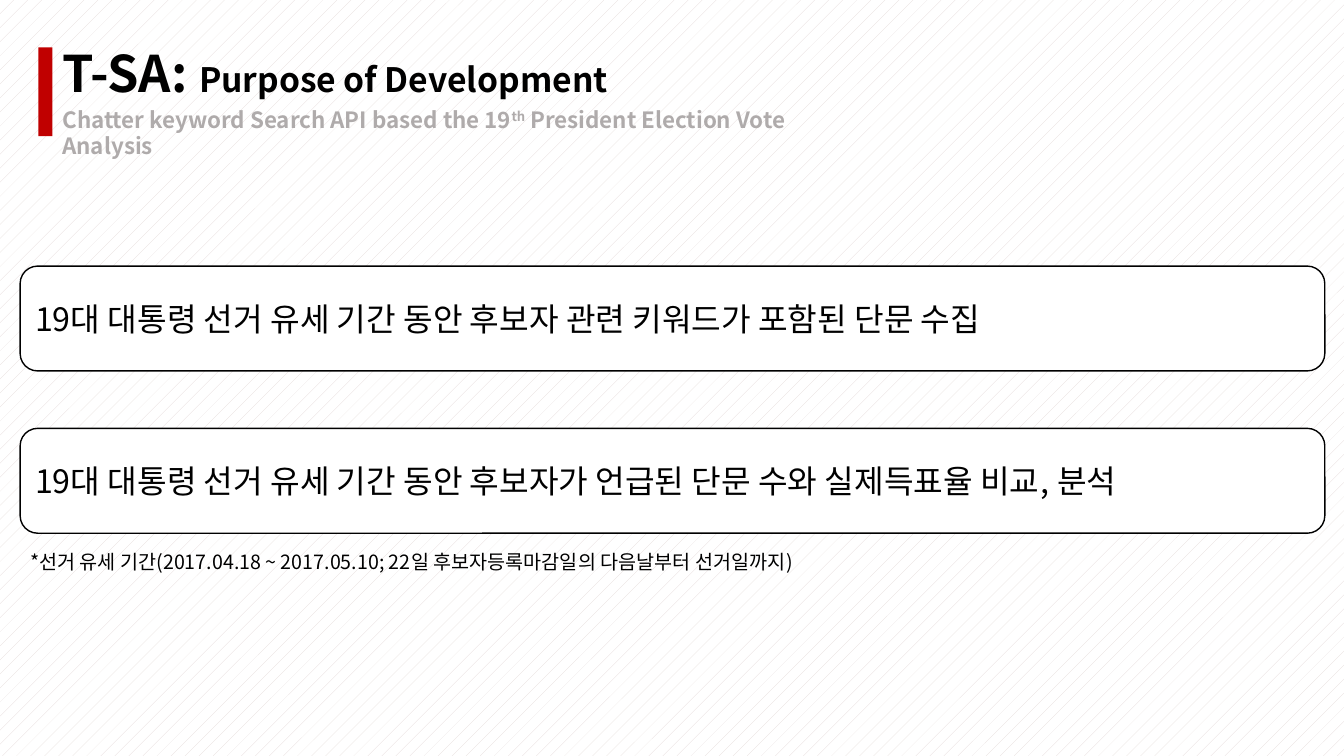
import dataclasses

import lxml.etree
import pptx
import pptx.dml.color
import pptx.enum.dml
import pptx.enum.shapes
import pptx.enum.text
import pptx.oxml.ns
import pptx.util


@dataclasses.dataclass(frozen=True)
class Theme:
    font: str = "Noto Sans CJK KR"
    ink: str = "000000"
    paper: str = "FFFFFF"
    hatch: str = "E3D9D7"
    accent: str = "C00000"
    muted: str = "AFABAB"
    title_size: int = 36
    topic_size: int = 24
    goal_size: int = 23
    subtitle_size: int = 16
    note_size: int = 14


theme = Theme()
inches = pptx.util.Inches
rgb = pptx.dml.color.RGBColor.from_string
shapes = pptx.enum.shapes.MSO_SHAPE


def write(para, pieces, color, bold=False):
    """Fill a left-aligned paragraph with (text, size) pieces."""
    para.alignment = pptx.enum.text.PP_ALIGN.LEFT
    for text, size in pieces:
        span = para.add_run()
        span.text = text
        span.font.size = pptx.util.Pt(size)
        span.font.bold = bold
        span.font.color.rgb = rgb(color)
        span.font.name = theme.font
        east_asian = lxml.etree.SubElement(
            span._r.get_or_add_rPr(), pptx.oxml.ns.qn("a:ea"))
        east_asian.set("typeface", theme.font)


def add_box(kind, left, top, width, height, fill):
    box = page.shapes.add_shape(
        kind, inches(left), inches(top), inches(width), inches(height))
    box.shadow.inherit = False
    box.fill.solid()
    box.fill.fore_color.rgb = rgb(fill)
    box.line.fill.background()
    return box


# Slide with a patterned background
deck = pptx.Presentation()
deck.slide_width, deck.slide_height = inches(13.33), inches(7.5)
page = deck.slides.add_slide(deck.slide_layouts[5])
backdrop = page.background.fill
backdrop.patterned()
backdrop.pattern = pptx.enum.dml.MSO_PATTERN.PERCENT_5
backdrop.fore_color.rgb = rgb(theme.hatch)
backdrop.back_color.rgb = rgb(theme.paper)

# Grid
margin = 0.2
heading_left = 0.52
goal_top, goal_pitch = 2.64, 1.61
goal_width, goal_height = 12.94, 1.04

# Heading: accent bar and title
add_box(shapes.RECTANGLE, 0.38, 0.47, 0.14, 0.88, theme.accent)
title = page.shapes.title
title.left, title.top = inches(heading_left), inches(0.37)
title.width, title.height = inches(7.69), inches(1.18)
title.text_frame.vertical_anchor = pptx.enum.text.MSO_ANCHOR.TOP
title.text_frame.auto_size = pptx.enum.text.MSO_AUTO_SIZE.NONE
write(title.text_frame.paragraphs[0],
      [("T-SA: ", theme.title_size),
       ("Purpose of Development", theme.topic_size)], theme.ink, bold=True)

# Goals
goals = [
    "19대 대통령 선거 유세 기간 동안 후보자 관련 키워드가 포함된 단문 수집",
    "19대 대통령 선거 유세 기간 동안 후보자가 언급된 단문 수와 실제득표율 비교, 분석",
]
for row, goal in enumerate(goals):
    box = add_box(shapes.ROUNDED_RECTANGLE, margin, goal_top + row * goal_pitch,
                  goal_width, goal_height, theme.paper)
    box.line.color.rgb = rgb(theme.ink)
    box.line.width = pptx.util.Pt(1)
    box.text_frame.word_wrap = True
    box.text_frame.vertical_anchor = pptx.enum.text.MSO_ANCHOR.MIDDLE
    write(box.text_frame.paragraphs[0], [(goal, theme.goal_size)], theme.ink)

# Subtitle and footnote
subtitle = [(text, theme.subtitle_size) for text in (
    "Chatter keyword Search API based the 19", "th",
    " President Election Vote Analysis")]
note = [("*선거 유세 기간(2017.04.18 ~ 2017.05.10; 22일 후보자등록마감일의 "
         "다음날부터 선거일까지)", theme.note_size)]
captions = [
    (heading_left, 1.0, 7.41, 0.37, subtitle, theme.muted, True),
    (margin, 5.41, 8.36, 0.34, note, theme.ink, False),
]
for left, top, width, height, pieces, color, bold in captions:
    box = page.shapes.add_textbox(
        inches(left), inches(top), inches(width), inches(height))
    box.text_frame.word_wrap = True
    para = box.text_frame.paragraphs[0]
    write(para, pieces, color, bold)
    for span in para.runs:
        if span.text == "th":
            span._r.get_or_add_rPr().set("baseline", "30000")

deck.save("out.pptx")
